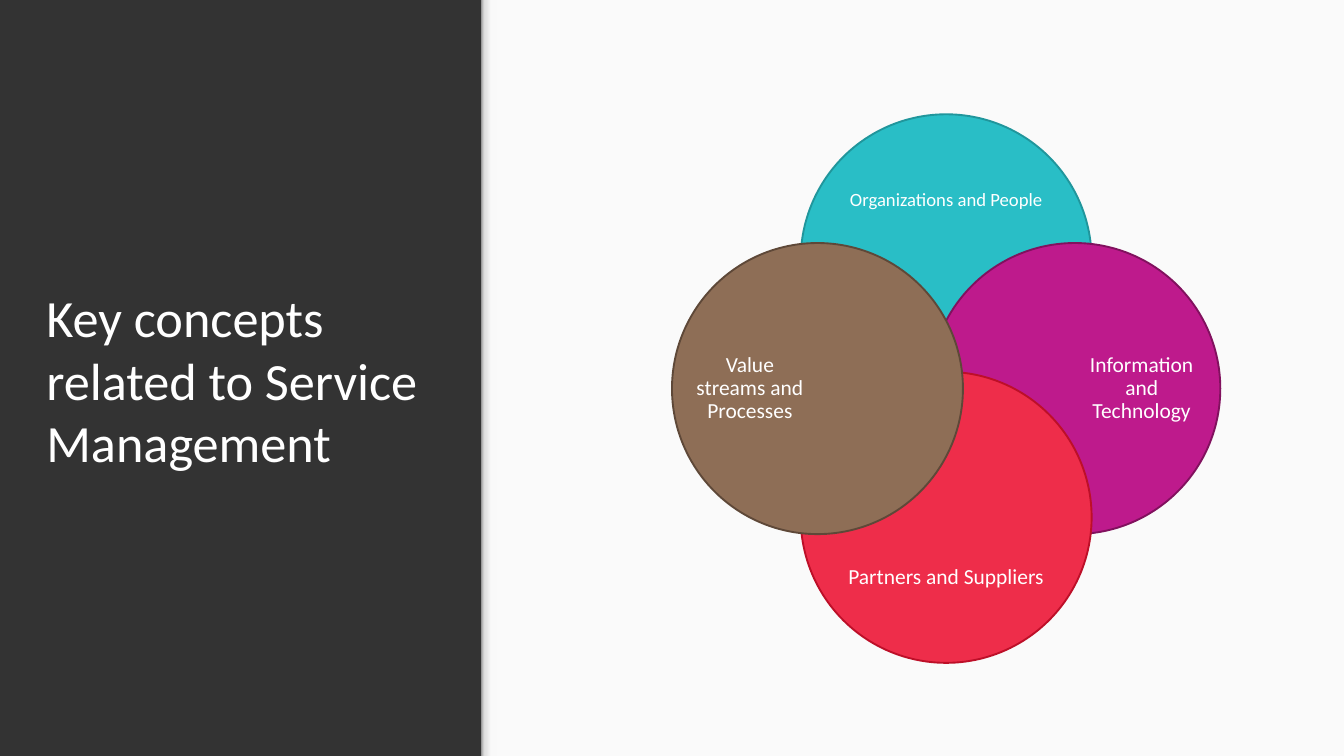
from lxml import etree
from pptx import Presentation
from pptx.dml.color import RGBColor
from pptx.enum.shapes import MSO_SHAPE as Shp
from pptx.enum.text import MSO_ANCHOR as Anc, PP_ALIGN as Al
from pptx.oxml.ns import qn
from pptx.util import Inches, Pt

WIDE, HIGH = 20, 11.245
DARK, PALE, WHITE = "333333", "FAFAFA", "FFFFFF"
FONT = "Calibri"
FADE = [(0, "F9F9F9"), (36, "F9F9F9"), (80, "DEDEDE"), (100, "999999")]

# column and row in steps, fill, line, label, label box inside the circle, size, spacing
RINGS = [
    (1, 0, "29BEC6", "20969C", "Organizations and People", (0.5, 0.58, 3.33, 1.37), 20, 1),
    (2, 1, "BE1A8C", "81115E", "Information and Technology", (2.33, 0.5, 1.66, 3.33), 23, 0.9),
    (1, 2, "EE2D4A", "BD0F28", "Partners and Suppliers", (0.5, 2.37, 3.33, 1.37), 23, 0.9),
    (0, 1, "8E6E56", "5E4838", "Value streams and Processes", (0.33, 0.5, 1.66, 3.33), 23, 0.9),
]


def color(code):
    return RGBColor.from_string(code)


def add_form(slide, kind, box, fill, line=None):
    form = slide.shapes.add_shape(kind, *map(Inches, box))
    form.shadow.inherit = False
    form.fill.solid()
    form.fill.fore_color.rgb = color(fill)
    if line:
        form.line.color.rgb = color(line)
        form.line.width = Pt(2)
    else:
        form.line.fill.background()
    return form


def add_text(slide, text, box, size, align=Al.LEFT, anchor=Anc.MIDDLE, inset=0, space=1):
    frame = slide.shapes.add_textbox(*map(Inches, box)).text_frame
    frame.word_wrap = True
    frame.vertical_anchor = anchor
    frame.margin_left = frame.margin_right = Inches(inset)
    frame.margin_top = frame.margin_bottom = Inches(inset)
    para = frame.paragraphs[0]
    para.alignment = align
    para.line_spacing = space
    run = para.add_run()
    run.text = text
    run.font.name = FONT
    run.font.size = Pt(size)
    run.font.color.rgb = color(WHITE)


def add_fade(form, stops):
    """Fill the form with a gradient that runs upward in its own frame."""
    form.fill.gradient()
    form.fill.gradient_angle = 90
    group = form._element.spPr.find(qn("a:gradFill")).find(qn("a:gsLst"))
    for old in list(group):
        group.remove(old)
    for place, code in stops:
        stop = etree.SubElement(group, qn("a:gs"), pos=str(place * 1000))
        etree.SubElement(stop, qn("a:srgbClr"), val=code)


def add_panel(slide, box):
    """Pale panel with a soft shadow strip along its left edge."""
    left, top, width, height = box
    add_form(slide, Shp.RECTANGLE, box, PALE)
    thick = 0.24
    mid_x, mid_y = left + 0.11, top + height / 2
    strip = add_form(slide, Shp.RECTANGLE,
                     (mid_x - height / 2, mid_y - thick / 2, height, thick), PALE)
    strip.rotation = 270
    add_fade(strip, FADE)


def add_rings(slide, box):
    """Four overlapping circles, one at each side of a square box."""
    left, top, side = box
    size = 4.33
    step = (side - size) / 2
    for col, row, fill, line, label, area, points, space in RINGS:
        x, y = left + col * step, top + row * step
        add_form(slide, Shp.OVAL, (x, y, size, size), fill, line)
        dx, dy, width, height = area
        add_text(slide, label, (x + dx, y + dy, width, height), points,
                 align=Al.CENTER, space=space)


def main():
    deck = Presentation()
    deck.slide_width, deck.slide_height = Inches(WIDE), Inches(HIGH)
    slide = deck.slides.add_slide(deck.slide_layouts[6])
    back = slide.background.fill
    back.solid()
    back.fore_color.rgb = color(DARK)
    add_panel(slide, (7.17, 0, WIDE - 7.17, HIGH))
    add_text(slide, "Key concepts related to Service Management",
             (0.49, 4.01, 6.14, 3.23), 56, anchor=Anc.BOTTOM, inset=0.2)
    add_rings(slide, (10, 1.7, 8.16))
    deck.save("out.pptx")


if __name__ == "__main__":
    main()
